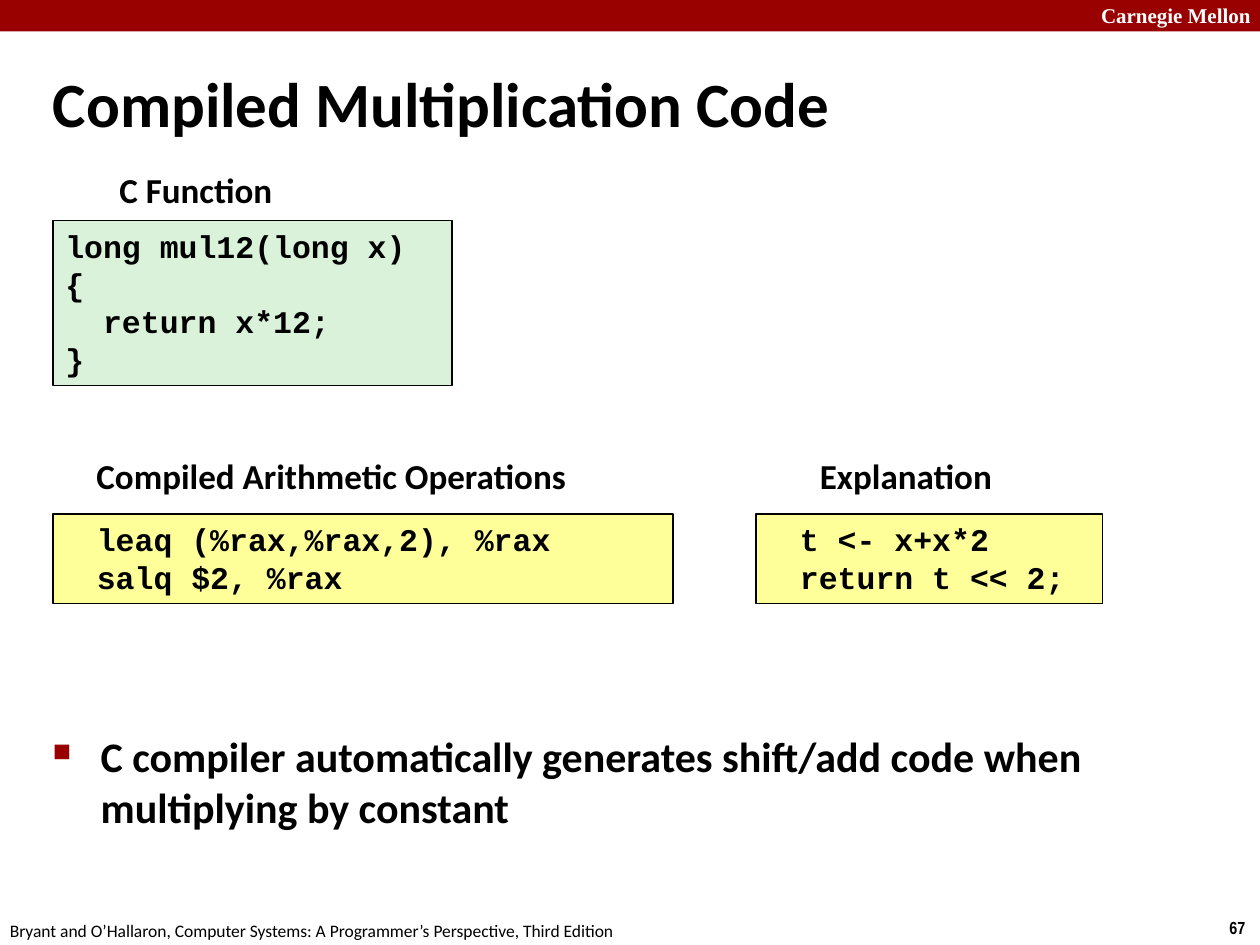
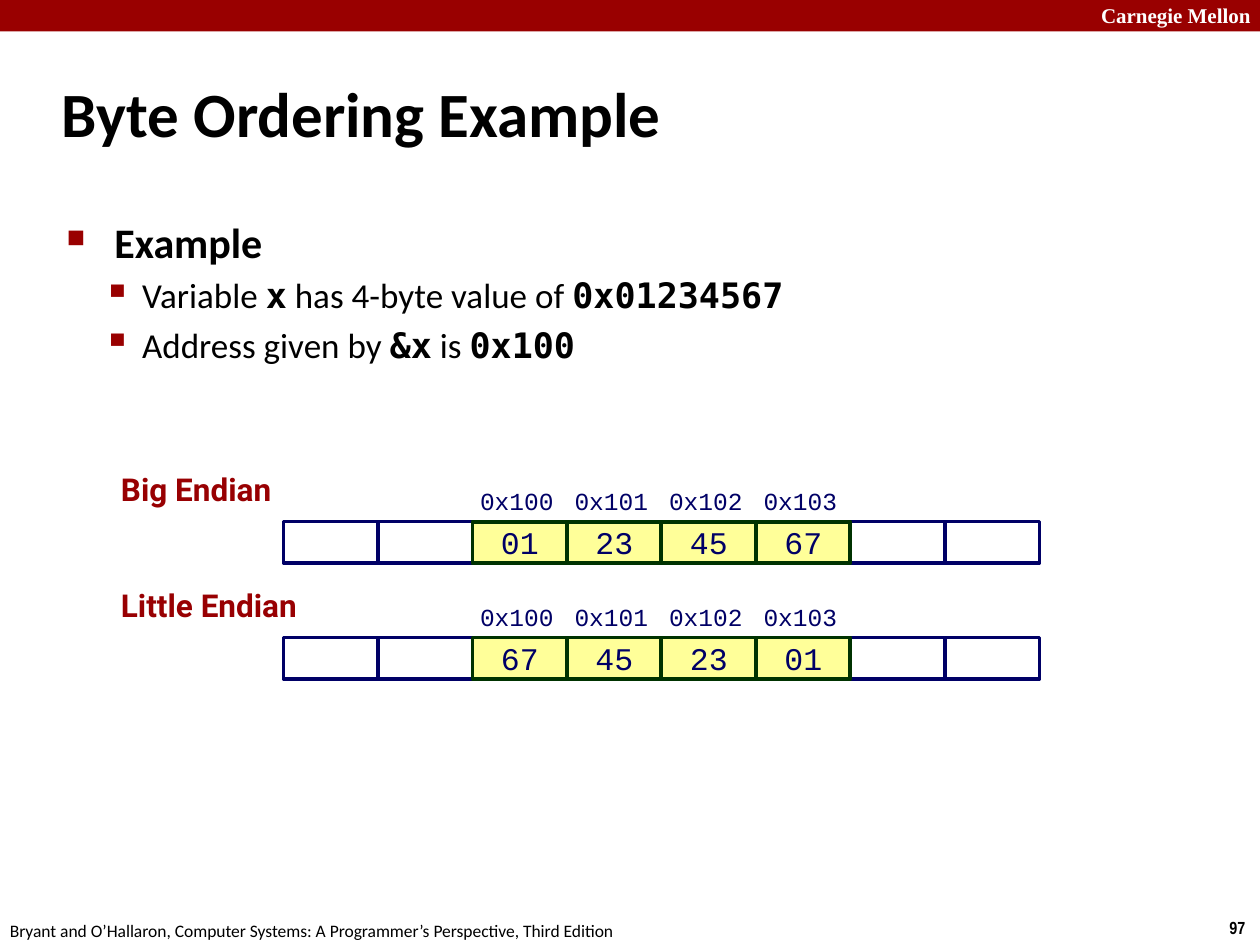
"""Build two lecture slides on compiled multiplication and byte ordering."""
from lxml import etree
from pptx import Presentation
from pptx import util as u
from pptx.dml import color
from pptx.enum import shapes, text
from pptx.oxml import ns

RED, BLACK, WHITE = "990000", "000000", "FFFFFF"
YELLOW, GREEN, NAVY, DARK_GREEN = "FFFF99", "DBF2DA", "000066", "003300"
SANS, CODE, MONO = "Calibri", "Courier New", "DejaVu Sans Mono"
LEFT, CENTER = text.PP_ALIGN.LEFT, text.PP_ALIGN.CENTER
TOP, MIDDLE = text.MSO_ANCHOR.TOP, text.MSO_ANCHOR.MIDDLE
CELL_WIDTH, CELL_HEIGHT = 0.75, 0.33
ROW_LEFT, FIRST_BYTE, ROW_CELLS = 2.25, 2, 8


def rgb(value):
    """Turn a hex string into a colour."""
    return color.RGBColor.from_string(value)


def inches(*lengths):
    """Convert several lengths to inches."""
    return [u.Inches(length) for length in lengths]


def style(font, name, size, ink=BLACK, bold=False):
    """Set the face, size, colour and weight of a font."""
    font.name, font.size, font.bold = name, u.Pt(size), bold
    font.color.rgb = rgb(ink)


def add_property(paragraph, tag, **attributes):
    """Append one element to the paragraph properties."""
    properties = paragraph._p.get_or_add_pPr()
    return etree.SubElement(properties, ns.qn(tag), attributes)


def set_frame(frame, anchor=TOP, insets=(0.1, 0.05, 0.1, 0.05)):
    """Set wrapping, anchor and margins of a text frame."""
    frame.word_wrap = True
    frame.auto_size = text.MSO_AUTO_SIZE.NONE
    frame.vertical_anchor = anchor
    (frame.margin_left, frame.margin_top,
     frame.margin_right, frame.margin_bottom) = inches(*insets)


def write(frame, lines, name, size, ink=BLACK, bold=False, align=LEFT, tab=None):
    """Write lines as paragraphs of one style."""
    frame.text = "\n".join(lines)
    for paragraph in frame.paragraphs:
        paragraph.alignment = align
        if tab:
            stops = add_property(paragraph, "a:tabLst")
            etree.SubElement(stops, ns.qn("a:tab"), pos=str(u.Inches(tab)), algn="l")
        style(paragraph.font, name, size, ink, bold)


def add_label(slide, place, words, name, size, anchor=TOP,
              insets=(0.1, 0.05, 0.1, 0.05), **look):
    """Add a one-line text box."""
    frame = slide.shapes.add_textbox(*inches(*place)).text_frame
    set_frame(frame, anchor, insets)
    write(frame, [words], name, size, **look)
    return frame.paragraphs[0]


def add_box(slide, place, fill, line=None, width=1):
    """Add a filled rectangle with an optional outline."""
    box = slide.shapes.add_shape(shapes.MSO_SHAPE.RECTANGLE, *inches(*place))
    box.shadow.inherit = False
    box.fill.solid()
    box.fill.fore_color.rgb = rgb(fill)
    if line:
        box.line.color.rgb = rgb(line)
        box.line.width = u.Pt(width)
    else:
        box.line.fill.background()
    return box


def add_code(slide, place, fill, lines, tab=None):
    """Add an outlined box of code."""
    frame = add_box(slide, place, fill, BLACK).text_frame
    set_frame(frame)
    write(frame, lines, CODE, 18, bold=True, tab=tab)


def add_heading(slide, place, words):
    """Add a centred heading above a code box."""
    add_label(slide, place, words, SANS, 20, insets=(0, 0.05, 0, 0.05),
              bold=True, align=CENTER)


def add_bullets(slide, place, items):
    """Add bullets from (level, parts), where every second part is code."""
    frame = slide.shapes.add_textbox(*inches(*place)).text_frame
    set_frame(frame)
    for index, (level, parts) in enumerate(items):
        paragraph = frame.add_paragraph() if index else frame.paragraphs[0]
        margin, hang, mark, percent, size = (
            (0.6, 0.31, "▪", 110, 20) if level else (0.38, 0.38, "■", 60, 24))
        properties = paragraph._p.get_or_add_pPr()
        properties.set("marL", str(u.Inches(margin)))
        properties.set("indent", str(-u.Inches(hang)))
        mark_color = add_property(paragraph, "a:buClr")
        etree.SubElement(mark_color, ns.qn("a:srgbClr"), val=RED)
        add_property(paragraph, "a:buSzPct", val=str(percent * 1000))
        add_property(paragraph, "a:buChar", char=mark)
        paragraph.level = level
        if index:
            paragraph.space_before = u.Pt(size * 0.2)
        style(paragraph.font, SANS, size, bold=level == 0)
        for position, part in enumerate(parts):
            run = paragraph.add_run()
            run.text = part
            if position % 2:
                run.font.name, run.font.bold = MONO, True


def add_memory_row(slide, top, name, values):
    """Add a named row of memory cells with addresses over its bytes."""
    label = add_label(slide, (0.92, top - 0.42, 1.96, 0.36), name, "Roboto", 18,
                      insets=(0.04, 0.03, 0.07, 0.03), ink="980002", bold=True)
    label.line_spacing = 0.95
    lefts = [ROW_LEFT + CELL_WIDTH * column for column in range(ROW_CELLS)]
    byte_lefts = lefts[FIRST_BYTE:FIRST_BYTE + len(values)]
    for left in lefts:
        if left not in byte_lefts:
            add_box(slide, (left, top, CELL_WIDTH, CELL_HEIGHT), WHITE, NAVY, 2)
    for offset, (left, value) in enumerate(zip(byte_lefts, values)):
        add_label(slide, (left, top - CELL_HEIGHT, CELL_WIDTH, CELL_HEIGHT),
                  f"0x{0x100 + offset:x}", CODE, 14, MIDDLE,
                  (0.06, 0.06, 0, 0.06), ink=NAVY)
        cell = add_box(slide, (left, top, CELL_WIDTH, CELL_HEIGHT),
                       YELLOW, DARK_GREEN, 2.25)
        set_frame(cell.text_frame, MIDDLE, (0, 0, 0, 0))
        write(cell.text_frame, [value], CODE, 18, NAVY, align=CENTER)


def add_slide(deck, title, title_place, number):
    """Add a slide with its title, top band and footer."""
    slide = deck.slides.add_slide(deck.slide_layouts[5])
    add_box(slide, (0, 0, 10, 0.25), RED)
    add_label(slide, (8.64, -0.03, 1.43, 0.3), "Carnegie Mellon",
              "Times New Roman", 12, ink=WHITE, bold=True)
    add_label(slide, (9.66, 7.23, 0.34, 0.27), str(number),
              "Arial Narrow", 10, bold=True)
    add_label(slide, (-0.02, 7.25, 5.2, 0.27),
              "Bryant and O’Hallaron, Computer Systems: "
              "A Programmer’s Perspective, Third Edition", SANS, 10)
    heading = slide.shapes.title
    heading.left, heading.top, heading.width, heading.height = inches(*title_place)
    set_frame(heading.text_frame, MIDDLE)
    write(heading.text_frame, [title], SANS, 36, bold=True)
    return slide


def build_multiplication(deck):
    """Build the slide on compiled multiplication."""
    slide = add_slide(deck, "Compiled Multiplication Code", (0.32, 0.5, 7.84, 0.63), 67)
    add_heading(slide, (0.89, 1.29, 1.33, 0.44), "C Function")
    add_code(slide, (0.42, 1.75, 3.17, 1.31), GREEN,
             ["long mul12(long x)", "{", "  return x*12;", "}"])
    add_heading(slide, (0.7, 3.56, 3.86, 0.44), "Compiled Arithmetic Operations")
    add_code(slide, (0.42, 4.08, 4.92, 0.71), YELLOW,
             ["\tleaq\t(%rax,%rax,2), %rax", "\tsalq\t$2, %rax"], tab=0.25)
    add_heading(slide, (6.45, 3.56, 1.48, 0.44), "Explanation")
    add_code(slide, (6, 4.08, 2.75, 0.71), YELLOW,
             ["\tt <- x+x*2", "\treturn t << 2;"], tab=0.25)
    add_bullets(slide, (0.32, 5.75, 9.09, 1.3), [
        (0, ["C compiler automatically generates shift/add code when "
             "multiplying by constant"])])


def build_byte_ordering(deck):
    """Build the slide on byte ordering."""
    slide = add_slide(deck, "Byte Ordering Example", (0.39, 0.48, 8.3, 0.83), 97)
    add_bullets(slide, (0.43, 1.67, 8.64, 1.5), [
        (0, ["Example"]),
        (1, ["Variable ", "x", " has 4-byte value of ", "0x01234567"]),
        (1, ["Address given by ", "&x", " is ", "0x100"])])
    big_endian = ["01", "23", "45", "67"]
    add_memory_row(slide, 4.14, "Big Endian", big_endian)
    add_memory_row(slide, 5.06, "Little Endian", big_endian[::-1])


def main():
    """Build and save the deck."""
    deck = Presentation()
    deck.slide_width, deck.slide_height = inches(10, 7.5)
    build_multiplication(deck)
    build_byte_ordering(deck)
    deck.save("out.pptx")


if __name__ == "__main__":
    main()
